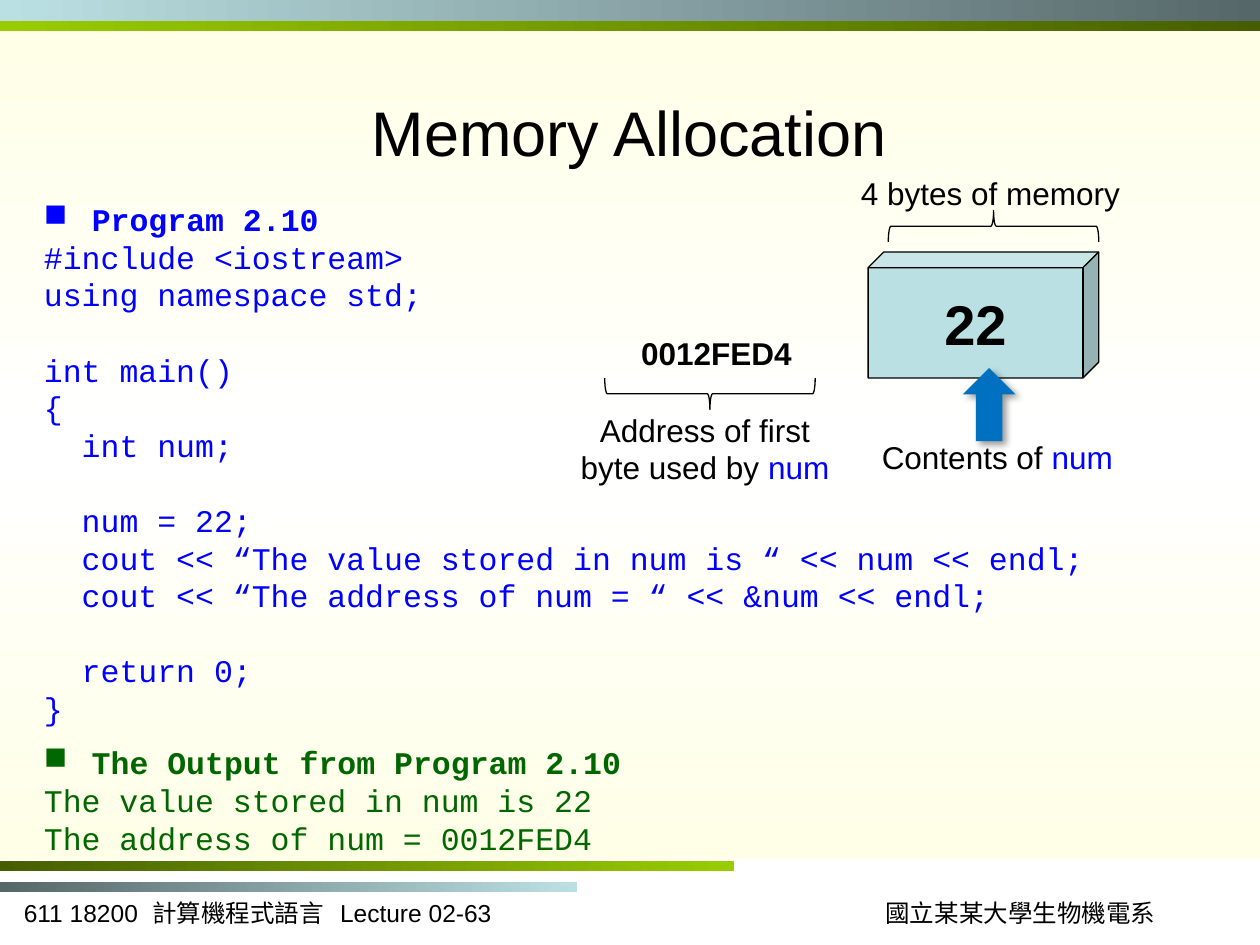
from lxml import etree
from pptx import Presentation
from pptx.dml.color import RGBColor
from pptx.enum.shapes import MSO_SHAPE as Shape
from pptx.enum.text import MSO_ANCHOR as Anchor, PP_ALIGN as Align
from pptx.oxml import parse_xml
from pptx.oxml.ns import nsdecls, qn
from pptx.util import Inches, Pt

BLACK, BLUE, GREEN = "000000", "0000FF", "006600"
LIME, OLIVE = "99CC00", "465E00"
AQUA, SLATE = "BBE0E3", "566769"
IVORY, WHITE = "FFFFE7", "FFFFFF"
LINE_PITCH = 21.5


def rgb(value):
    return RGBColor.from_string(value)


class SlideBuilder:
    """Places elements on a grid of 100 columns by 75 rows."""
    COLUMNS, ROWS = 100, 75

    def __init__(self, deck):
        self.deck = deck
        self.slide = deck.slides.add_slide(deck.slide_layouts[5])
        self.shapes = self.slide.shapes

    def area(self, column, row, columns, rows):
        across = self.deck.slide_width / self.COLUMNS
        down = self.deck.slide_height / self.ROWS
        return [round(n) for n in (column * across, row * down,
                                   columns * across, rows * down)]

    def style(self, paragraph, size=18, color=BLACK, bold=False,
              font="Arial", align=Align.LEFT):
        paragraph.alignment = align
        face = paragraph.font
        face.size, face.bold, face.name = Pt(size), bold, font
        face.color.rgb = rgb(color)

    def title(self, text, *grid):
        heading = self.shapes.title
        heading.left, heading.top, heading.width, heading.height = self.area(*grid)
        heading.text_frame.text = text
        heading.text_frame.vertical_anchor = Anchor.MIDDLE
        self.style(heading.text_frame.paragraphs[0], 36, align=Align.CENTER)
        heading._element.getparent().append(heading._element)

    def shape(self, kind, *grid, fill=None, line=None, turn=0):
        item = self.shapes.add_shape(kind, *self.area(*grid))
        item.shadow.inherit = False
        item.rotation = turn
        if fill:
            item.fill.solid()
            item.fill.fore_color.rgb = rgb(fill)
        else:
            item.fill.background()
        if line:
            item.line.color.rgb = rgb(line)
            item.line.width = Pt(0.75)
        else:
            item.line.fill.background()
        return item

    def gradient(self, colors, *grid, angle=0):
        band = self.shape(Shape.RECTANGLE, *grid, fill=colors[0])
        step = 100000 // (len(colors) - 1)
        stops = "".join(f'<a:gs pos="{i * step}"><a:srgbClr val="{c}"/></a:gs>'
                        for i, c in enumerate(colors))
        solid = band._element.spPr.find(qn("a:solidFill"))
        solid.getparent().replace(solid, parse_xml(
            f'<a:gradFill {nsdecls("a")} rotWithShape="1"><a:gsLst>{stops}</a:gsLst>'
            f'<a:lin ang="{angle * 60000}" scaled="0"/></a:gradFill>'))

    def frame(self, *grid, wrap=True, anchor=Anchor.TOP):
        frame = self.shapes.add_textbox(*self.area(*grid)).text_frame
        frame.word_wrap, frame.vertical_anchor = wrap, anchor
        return frame

    def label(self, parts, *grid, wrap=False, tabs=(), **style):
        """Parts are (text, colour) pairs; a None colour keeps the paragraph's."""
        paragraph = self.frame(*grid, wrap=wrap).paragraphs[0]
        self.style(paragraph, **style)
        for text, color in parts:
            run = paragraph.add_run()
            run.text = text
            if color:
                run.font.color.rgb = rgb(color)
        if tabs:
            stops = etree.Element(qn("a:tabLst"))
            for stop in tabs:
                etree.SubElement(stops, qn("a:tab"), pos=str(Inches(stop)), algn="l")
            paragraph._p.get_or_add_pPr().find(qn("a:defRPr")).addprevious(stops)

    def listing(self, heading, lines, color, *grid):
        """Lines are (text, indent level, blank lines above)."""
        frame = self.frame(*grid, anchor=Anchor.MIDDLE)
        for i, (text, level, gap) in enumerate([(heading, 0, 0)] + lines):
            paragraph = frame.add_paragraph() if i else frame.paragraphs[0]
            paragraph.text = text
            paragraph.line_spacing = Pt(LINE_PITCH)
            paragraph.space_before = Pt(gap * LINE_PITCH)
            self.style(paragraph, color=color, bold=not i, font="Courier New")
            props = paragraph._p.get_or_add_pPr()
            if i:
                props.set("marL", str(Inches(0.3 * level)))
            else:
                props.set("marL", str(Inches(0.38)))
                props.set("indent", str(-Inches(0.38)))
                bullet = etree.Element(qn("a:buChar"), char="■")
                props.find(qn("a:defRPr")).addprevious(bullet)

    def drop_shadow(self, item):
        effects = item._element.spPr.find(qn("a:effectLst"))
        effects.append(parse_xml(
            f'<a:outerShdw {nsdecls("a")} blurRad="{Pt(4)}" dist="{Pt(3)}" '
            'dir="2700000" algn="tl" rotWithShape="0"><a:srgbClr val="000000">'
            '<a:alpha val="40000"/></a:srgbClr></a:outerShdw>'))


deck = Presentation()
deck.slide_width, deck.slide_height = Inches(10), Inches(7.5)
page = SlideBuilder(deck)

# Backdrop, bars and footer
page.gradient([LIME, OLIVE], 0, 1.6, 100, 0.9)
page.gradient([IVORY, WHITE, IVORY], 0, 2.5, 100, 65.7, angle=90)
page.gradient([SLATE, AQUA], 0, 70, 45.8, 0.8)
page.gradient([OLIVE, LIME], 0, 68.3, 58.3, 0.8)
page.gradient([AQUA, SLATE], 0, 0, 100, 1.7)
page.label([("611 18200\t計算機程式語言\tLecture 02-63", None)],
           0.9, 70.8, 47.5, 3.3, wrap=True, size=14, tabs=(1.02, 2.51))
page.label([("國立某某大學生物機電系", None)], 69.2, 70.8, 23.6, 3.3,
           size=14, font="Times New Roman", align=Align.CENTER)

page.title("Memory Allocation", 5.8, 3.9, 88.3, 13)

# Program and its output
page.listing("Program 2.10", [
    ("#include <iostream>", 0, 0),
    ("using namespace std;", 0, 0),
    ("int main()", 0, 1),
    ("{", 0, 0),
    ("int num;", 1, 0),
    ("num = 22;", 1, 1),
    ("cout << “The value stored in num is “ << num << endl;", 1, 0),
    ("cout << “The address of num = “ << &num << endl;", 1, 0),
    ("return 0;", 1, 1),
    ("}", 0, 0),
], BLUE, 2.5, 15.1, 90.8, 43.4)
page.listing("The Output from Program 2.10", [
    ("The value stored in num is 22", 0, 0),
    ("The address of num = 0012FED4", 0, 0),
], GREEN, 2.5, 58.5, 76.7, 10)

# Memory cell
cell = page.shape(Shape.CUBE, 68.9, 20, 18.3, 10, fill=AQUA, line=BLACK)
cell.adjustments[0] = 0.125
cell.text_frame.text = "22"
cell.text_frame.vertical_anchor = Anchor.MIDDLE
page.style(cell.text_frame.paragraphs[0], 32, bold=True, align=Align.CENTER)

# Braces over the cell and under the address
for column, row, turn in ((77.6, 9.6, 90), (55.1, 22.9, 270)):
    page.shape(Shape.LEFT_BRACE, column, row, 2.5, 16.7, line=BLACK, turn=turn)

# Captions and pointer
centred = {"align": Align.CENTER}
page.label([("4 bytes of memory", None)], 67.2, 13.3, 22.8, 4, **centred)
page.label([("Contents of ", None), ("num", BLUE)], 68.9, 34.3, 20.5, 4, **centred)
page.drop_shadow(page.shape(Shape.UP_ARROW, 76.4, 29.2, 4.2, 5.8, fill="0070C0"))
page.label([("0012FED4", None)], 49.8, 26, 14.1, 4, bold=True, **centred)
page.label([("Address of first byte used by ", None), ("num", BLUE)],
           44.7, 32.1, 22.5, 7.1, wrap=True, **centred)

deck.save("out.pptx")
